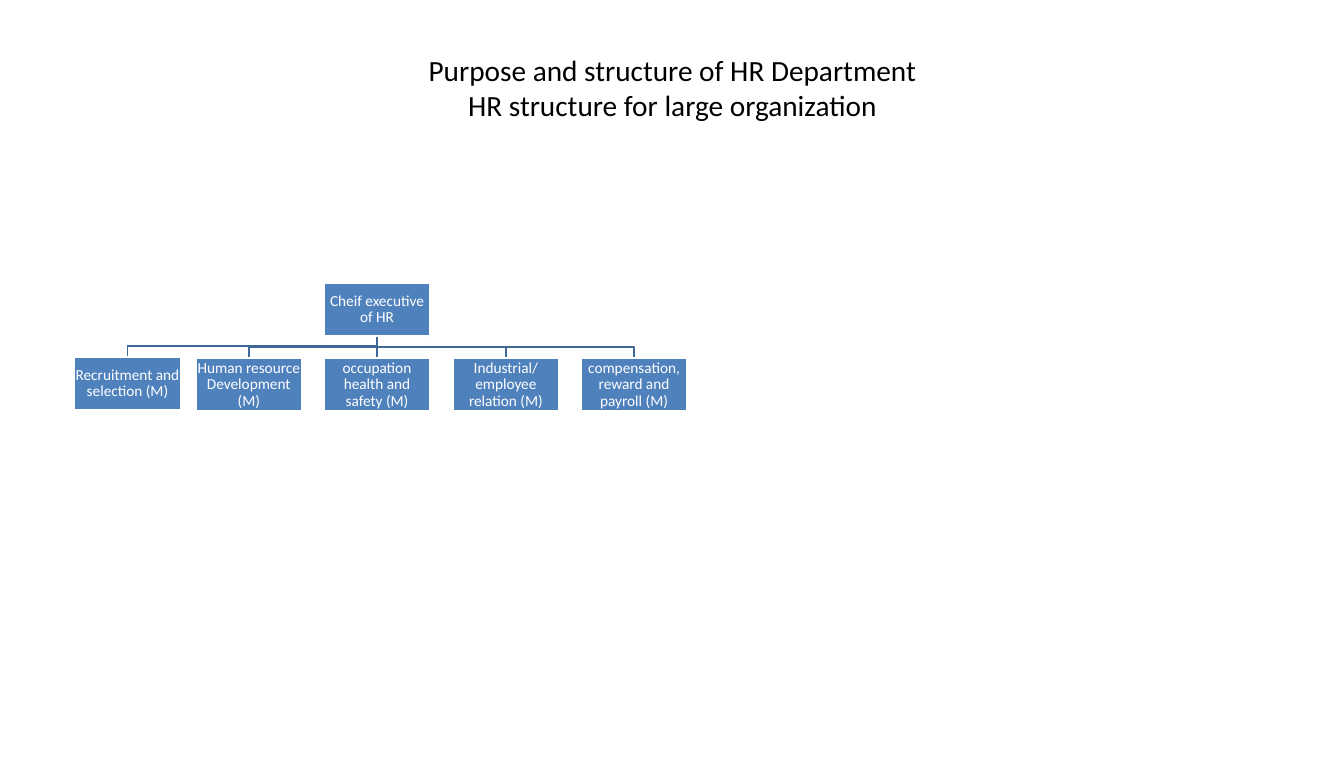
from pptx import Presentation
from pptx import util as u
from pptx.dml.color import RGBColor
from pptx.enum import shapes, text

Inches = u.Inches
WIDE, HIGH = 1.54, 0.77


def color(code):
    return RGBColor.from_string(code)


def add_post(left, top, name):
    """Draw one post of the chart as a filled, labelled box."""
    box = slide.shapes.add_shape(
        shapes.MSO_SHAPE.RECTANGLE,
        Inches(left), Inches(top), Inches(WIDE), Inches(HIGH))
    box.shadow.inherit = False
    box.fill.solid()
    box.fill.fore_color.rgb = color("4F81BD")
    box.line.color.rgb = color("FFFFFF")
    box.line.width = u.Pt(2)
    frame = box.text_frame
    frame.word_wrap = True
    frame.vertical_anchor = text.MSO_ANCHOR.MIDDLE
    frame.margin_left = frame.margin_right = Inches(0.01)
    frame.margin_top = frame.margin_bottom = Inches(0.01)
    frame.text = name
    para = frame.paragraphs[0]
    para.alignment = text.PP_ALIGN.CENTER
    para.line_spacing = 0.9
    para.font.size = u.Pt(16)
    para.font.name = "Calibri"
    para.font.color.rgb = color("FFFFFF")


prs = Presentation()
prs.slide_width = Inches(19.5)
prs.slide_height = Inches(11)
slide = prs.slides.add_slide(prs.slide_layouts[6])

# Title
title = slide.shapes.add_textbox(
    Inches(0.98), Inches(0.44), Inches(17.55), Inches(1.83))
frame = title.text_frame
frame.word_wrap = True
frame.vertical_anchor = text.MSO_ANCHOR.MIDDLE
frame.margin_top = Inches(0.06)
frame.margin_bottom = Inches(0.23)
frame.text = ("Purpose and structure of HR Department\n"
              "HR structure for large organization")
for para in frame.paragraphs:
    para.alignment = text.PP_ALIGN.CENTER
    para.font.size = u.Pt(30.6)
    para.font.name = "Calibri"
    para.font.color.rgb = color("000000")

# Organization chart
head_left, head_top = 4.7, 4.11
mid = head_left + WIDE / 2
base = head_top + HIGH
posts = [
    (1.08, 5.18, "Recruitment and selection (M)"),
    (2.84, 5.2, "Human resource Development (M)"),
    (4.7, 5.2, "occupation health and safety (M)"),
    (6.57, 5.2, "Industrial/ employee relation (M)"),
    (8.43, 5.2, "compensation, reward and payroll (M)"),
]

# Branches lie behind the boxes
for left, top, name in posts:
    end = left + WIDE / 2
    bend = top - 0.16
    pen = slide.shapes.build_freeform(Inches(mid), Inches(base), scale=1.0)
    turns = [(mid, bend), (end, bend)] if left != head_left else []
    pen.add_line_segments(
        [(Inches(x), Inches(y)) for x, y in turns + [(end, top)]],
        close=False)
    branch = pen.convert_to_shape()
    branch.shadow.inherit = False
    branch.fill.background()
    branch.line.color.rgb = color("3F6797")
    branch.line.width = u.Pt(2)

add_post(head_left, head_top, "Cheif executive of HR")
for left, top, name in posts:
    add_post(left, top, name)

prs.save("out.pptx")
